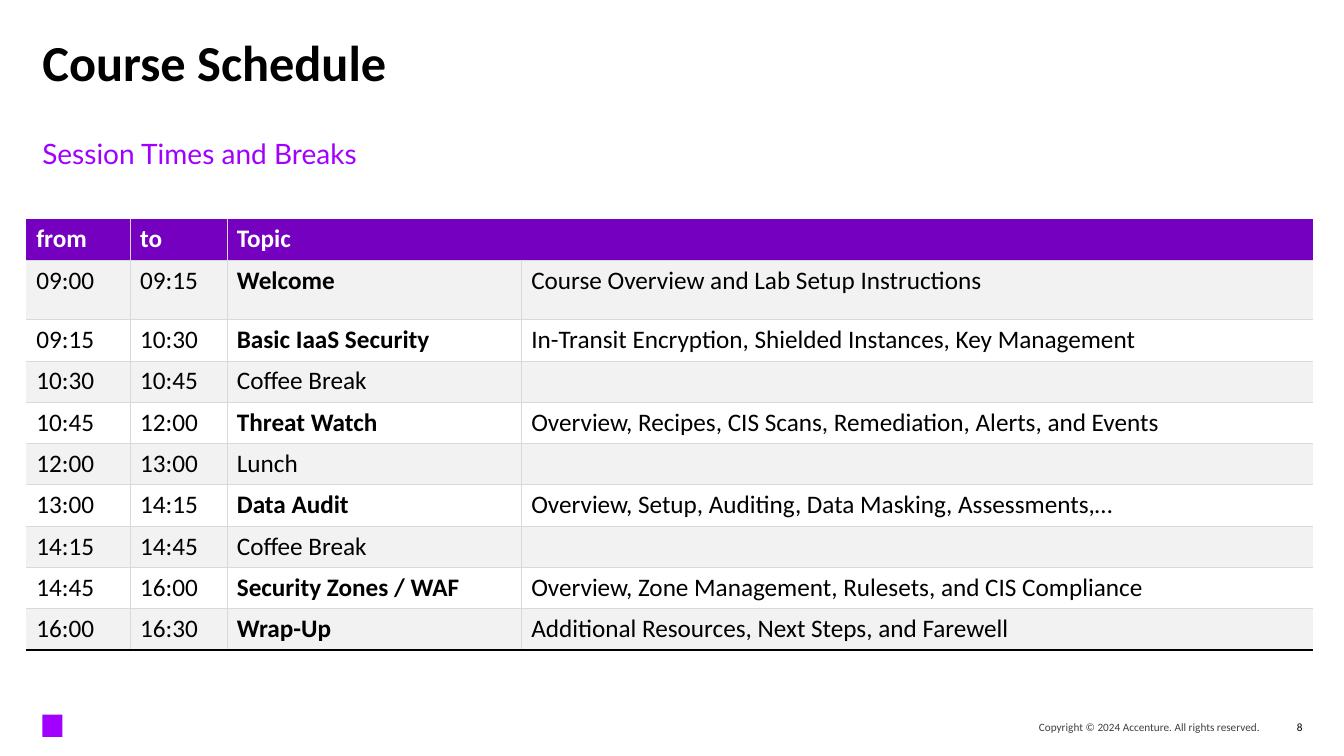
from lxml import etree
from pptx import Presentation
from pptx import util as u
from pptx.dml import color
from pptx.enum import shapes, text
from pptx.oxml import ns

BLACK, WHITE, GREY = "000000", "FFFFFF", "404040"
VIOLET, PURPLE = "A100FF", "7500C0"
BAND, GRID = "F2F2F2", "D9D9D9"

COLUMN_WIDTHS = [1.03, 0.96, 2.92, 7.85]
ROW_HEIGHT, WELCOME_HEIGHT = 0.41, 0.59
BREAKS = {"Coffee Break", "Lunch"}
SCHEDULE = [
    ("from", "to", "Topic", ""),
    ("09:00", "09:15", "Welcome", "Course Overview and Lab Setup Instructions"),
    ("09:15", "10:30", "Basic IaaS Security",
     "In-Transit Encryption, Shielded Instances, Key Management"),
    ("10:30", "10:45", "Coffee Break", ""),
    ("10:45", "12:00", "Threat Watch",
     "Overview, Recipes, CIS Scans, Remediation, Alerts, and Events"),
    ("12:00", "13:00", "Lunch", ""),
    ("13:00", "14:15", "Data Audit",
     "Overview, Setup, Auditing, Data Masking, Assessments,…"),
    ("14:15", "14:45", "Coffee Break", ""),
    ("14:45", "16:00", "Security Zones / WAF",
     "Overview, Zone Management, Rulesets, and CIS Compliance"),
    ("16:00", "16:30", "Wrap-Up", "Additional Resources, Next Steps, and Farewell"),
]


def rgb(value):
    return color.RGBColor.from_string(value)


class SlideBuilder:
    """Holds the base style and the current slide."""

    font_name = "Calibri"

    def __init__(self, slide):
        self.slide = slide

    def add_words(self, frame, words, hue=BLACK, paragraph_format=None, **font_format):
        paragraph = frame.paragraphs[0]
        run = paragraph.add_run()
        run.text = words
        run.font.color.rgb = rgb(hue)
        for name, value in {"name": self.font_name, **font_format}.items():
            setattr(run.font, name, value)
        for name, value in (paragraph_format or {}).items():
            setattr(paragraph, name, value)

    def place(self, shape, box):
        for name, value in zip(("left", "top", "width", "height"), box):
            setattr(shape, name, u.Inches(value))

    def frame(self, shape, anchor, wrap=True):
        settings = {"margin_left": 0, "margin_right": 0, "margin_top": 0,
                    "margin_bottom": 0, "word_wrap": wrap,
                    "auto_size": text.MSO_AUTO_SIZE.NONE,
                    "vertical_anchor": anchor}
        for name, value in settings.items():
            setattr(shape.text_frame, name, value)
        return shape.text_frame

    def title(self, words, box, **font_format):
        heading = self.slide.shapes.title
        self.place(heading, box)
        self.add_words(self.frame(heading, text.MSO_ANCHOR.TOP), words,
                       paragraph_format={"alignment": text.PP_ALIGN.LEFT,
                                         "line_spacing": 0.8}, **font_format)

    def label(self, words, box, anchor=text.MSO_ANCHOR.MIDDLE, wrap=True, **style):
        holder = self.slide.shapes.add_textbox(*map(u.Inches, box))
        self.add_words(self.frame(holder, anchor, wrap), words, **style)

    def marker(self, box, hue):
        mark = self.slide.shapes.add_shape(shapes.MSO_SHAPE.RECTANGLE,
                                           *map(u.Inches, box))
        mark.shadow.inherit = False
        mark.fill.solid()
        mark.fill.fore_color.rgb = rgb(hue)
        mark.line.fill.background()

    def border(self, cell, side, hue, width):
        line = etree.SubElement(cell._tc.get_or_add_tcPr(), ns.qn(f"a:ln{side}"),
                                w=str(int(u.Pt(width))))
        if not width:
            etree.SubElement(line, ns.qn("a:noFill"))
            return
        fill = etree.SubElement(line, ns.qn("a:solidFill"))
        etree.SubElement(fill, ns.qn("a:srgbClr"), val=hue)

    def schedule(self, rows, left, top):
        heights = [ROW_HEIGHT] * len(rows)
        heights[1] = WELCOME_HEIGHT
        box = (left, top, sum(COLUMN_WIDTHS), sum(heights))
        grid = self.slide.shapes.add_table(len(rows), len(COLUMN_WIDTHS),
                                           *map(u.Inches, box)).table
        grid.horz_banding = grid.first_row = False
        for column, width in zip(grid.columns, COLUMN_WIDTHS):
            column.width = u.Inches(width)
        for row, height in zip(grid.rows, heights):
            row.height = u.Inches(height)
        grid.cell(0, 2).merge(grid.cell(0, 3))

        last_row, last_column = len(rows) - 1, len(COLUMN_WIDTHS) - 1
        for r, entries in enumerate(rows):
            header = r == 0
            for c, words in enumerate(entries):
                cell = grid.cell(r, c)
                edges = {
                    "L": (GRID, 0.5 if c and not (header and c == 3) else 0),
                    "R": (GRID, 0.5 if c < last_column and not (header and c == 2) else 0),
                    "T": (GRID, 0 if header else 0.5),
                    "B": (BLACK, 1) if r == last_row else (GRID, 0.5),
                }
                for side, (hue, width) in edges.items():
                    self.border(cell, side, hue, width)
                cell.fill.solid()
                cell.fill.fore_color.rgb = rgb(
                    PURPLE if header else BAND if r % 2 else WHITE)
                if words:
                    session = c == 2 and words not in BREAKS
                    self.add_words(cell.text_frame, words, WHITE if header else BLACK,
                                   size=u.Pt(18), bold=header or session)
                else:
                    cell.text_frame.paragraphs[0].font.size = u.Pt(18)


def main():
    deck = Presentation()
    deck.slide_width, deck.slide_height = u.Inches(13.33), u.Inches(7.5)
    page = SlideBuilder(deck.slides.add_slide(deck.slide_layouts[5]))

    # Heading
    page.title("Course Schedule", (0.42, 0.42, 12.5, 0.88), size=u.Pt(36), bold=True)
    page.label("Session Times and Breaks", (0.42, 1.35, 12.5, 0.42),
               anchor=text.MSO_ANCHOR.TOP, hue=VIOLET, name="Lato", size=u.Pt(20))

    # Timetable
    page.schedule(SCHEDULE, 0.26, 2.17)

    # Footer
    page.marker((0.42, 7.09, 0.2, 0.22), VIOLET)
    right = {"alignment": text.PP_ALIGN.RIGHT}
    page.label("Copyright © 2024 Accenture. All rights reserved.", (8, 7.1, 4.5, 0.22),
               hue=GREY, paragraph_format={**right, "space_after": u.Pt(12)},
               size=u.Pt(8))
    page.label("8", (12.56, 7.1, 0.36, 0.22), wrap=False,
               paragraph_format=right, size=u.Pt(8))

    deck.save("out.pptx")


if __name__ == "__main__":
    main()
